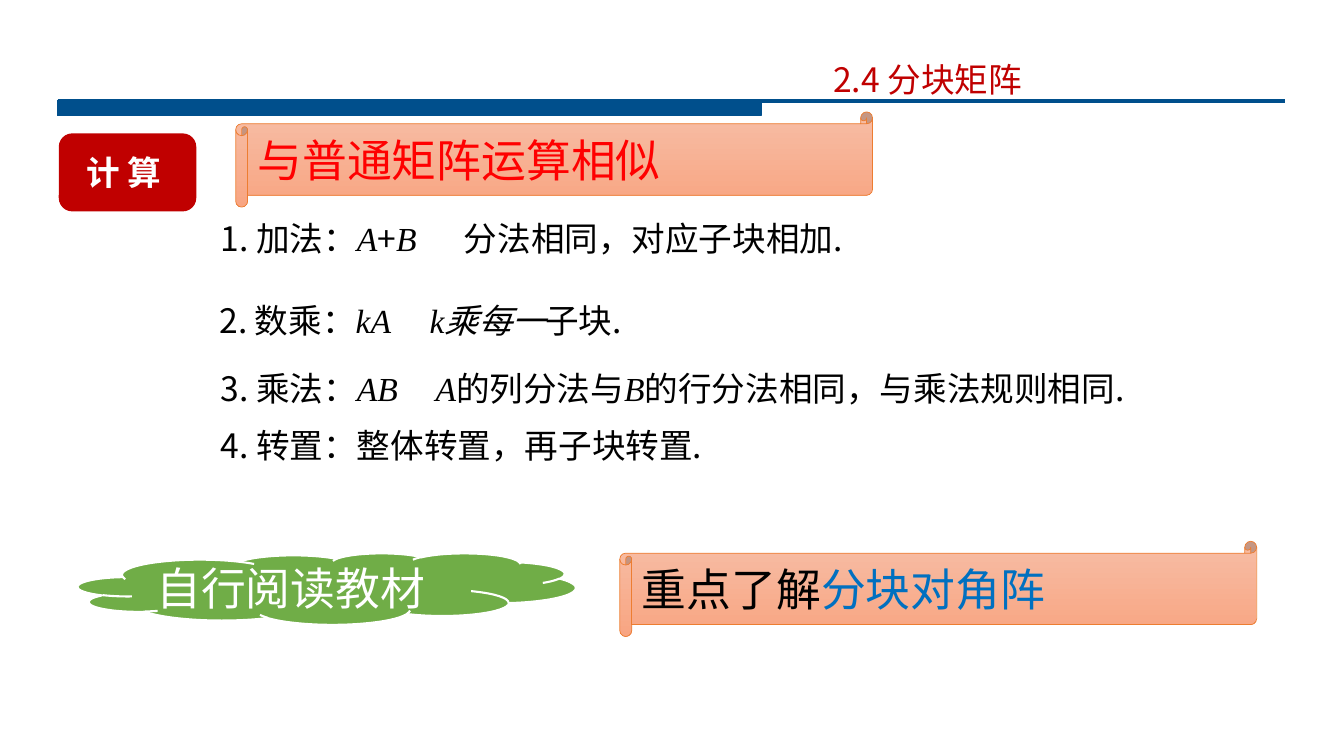
from lxml import etree
from pptx import Presentation
from pptx.dml.color import RGBColor
from pptx.enum.shapes import MSO_CONNECTOR, MSO_SHAPE
from pptx.enum.text import MSO_ANCHOR, PP_ALIGN
from pptx.oxml.ns import qn
from pptx.util import Cm, Pt

RECT, ROUND = MSO_SHAPE.RECTANGLE, MSO_SHAPE.ROUNDED_RECTANGLE
CLOUD, SCROLL = MSO_SHAPE.CLOUD, MSO_SHAPE.HORIZONTAL_SCROLL
STRAIGHT = MSO_CONNECTOR.STRAIGHT
LEFT, TOP, MIDDLE = PP_ALIGN.LEFT, MSO_ANCHOR.TOP, MSO_ANCHOR.MIDDLE

THEME = {
    "navy": "004F8C", "deep": "C00000", "red": "FF0000", "blue": "0070C0",
    "green": "70AD47", "orange": "ED7D31", "black": "000000",
    "white": "FFFFFF", "light": "F7BDA5", "dark": "F8A582",
    "body": 24, "large": 32,
    "sans": "Noto Sans CJK SC", "math": "Times New Roman", "head": "Calibri",
}

# Content: each run is (text, style)
TITLE = [("2.4 分块矩阵", "title")]
LABEL = [("计 算", "label")]
# Rules: left, top, width, tab stop, runs
RULES = [
    (5.31, 5.36, 18.36, 6.13, [
        ("1. 加法：", "plain"), ("A", "math"), ("+", "plain"), ("B", "math"),
        ("\t分法相同，对应子块相加.", "plain")]),
    (5.28, 7.44, 18.36, 5.3, [
        ("2. 数乘：", "plain"), ("kA\tk乘每一", "math"), ("子块.", "plain")]),
    (5.31, 9.14, 26.42, 5.42, [
        ("3. 乘法：", "plain"), ("AB\tA", "math"), ("的列分法与", "plain"),
        ("B", "math"), ("的行分法相同，与乘法规则相同.", "plain")]),
    (5.31, 10.59, 18.36, None, [("4. 转置：整体转置，再子块转置.", "plain")]),
]
READ = [("自行阅读教材", "white")]
# Scrolls: left, top, runs
SCROLLS = [
    (15.62, 13.64, [("重点了解", "black"), ("分块对角阵", "blue")]),
    (5.94, 2.82, [("与普通矩阵运算相似", "red")]),
]

# Style: font, size, colour, bold, italic
STYLES = {
    "title": ("sans", "body", "deep", False, False),
    "label": ("sans", "body", "white", True, False),
    "plain": ("sans", "body", "black", False, False),
    "math": ("math", "body", "black", False, True),
}
for hue in ("white", "black", "blue", "red"):
    STYLES[hue] = ("head", "large", hue, False, False)

deck = Presentation()
deck.slide_width, deck.slide_height = Cm(33.87), Cm(19.05)
slide = deck.slides.add_slide(deck.slide_layouts[6])


def color(name):
    return RGBColor.from_string(THEME[name])


def write(frame, runs, anchor=TOP, tab=None):
    frame.word_wrap = True
    frame.vertical_anchor = anchor
    para = frame.paragraphs[0]
    para.alignment = LEFT
    if tab:
        stops = etree.SubElement(para._p.get_or_add_pPr(), qn("a:tabLst"))
        etree.SubElement(stops, qn("a:tab"), pos=str(Cm(tab)), algn="l")
    for text, style in runs:
        face, size, hue, bold, slant = STYLES[style]
        run = para.add_run()
        run.text = text
        font = run.font
        font.name, font.size = THEME[face], Pt(THEME[size])
        font.bold, font.italic = bold, slant
        font.color.rgb = color(hue)
        asian = etree.SubElement(run._r.get_or_add_rPr(), qn("a:ea"))
        asian.set("typeface", THEME["sans"])


def add_text(left, top, width, runs, tab=None):
    box = slide.shapes.add_textbox(Cm(left), Cm(top), Cm(width), Cm(1.28))
    write(box.text_frame, runs, tab=tab)


def add_form(kind, box, fill, edge, weight):
    form = slide.shapes.add_shape(kind, *map(Cm, box))
    form.shadow.inherit = False
    if isinstance(fill, tuple):
        form.fill.gradient()
        form.fill.gradient_angle = 270
        for stop, hue in zip(form.fill.gradient_stops, fill):
            stop.color.rgb = color(hue)
    else:
        form.fill.solid()
        form.fill.fore_color.rgb = color(fill)
    form.line.color.rgb = color(edge)
    form.line.width = Pt(weight)
    return form


# Header rule and title
rule = slide.shapes.add_connector(
    STRAIGHT, Cm(1.45), Cm(2.54), Cm(32.39), Cm(2.54))
rule.line.color.rgb = color("navy")
rule.line.width = Pt(3)
etree.SubElement(rule._element.spPr, qn("a:effectLst"))
add_form(RECT, (1.45, 2.54, 17.73, 0.38), "navy", "navy", 1)
add_text(20.75, 1.37, 11.53, TITLE)

# Section label
add_form(ROUND, (1.5, 3.38, 3.43, 1.93), "deep", "deep", 1)
add_text(1.93, 3.71, 7.29, LABEL)

# Rules of block arithmetic
for left, top, width, tab, runs in RULES:
    add_text(left, top, width, runs, tab)

# Reading hint
cloud = add_form(CLOUD, (1.96, 13.94, 12.55, 1.8), "green", "white", 1.5)
write(cloud.text_frame, READ, MIDDLE)

# Scroll banners
for left, top, runs in SCROLLS:
    scroll = add_form(
        SCROLL, (left, top, 16.05, 2.4), ("light", "dark"), "orange", 0.5)
    write(scroll.text_frame, runs, MIDDLE)

deck.save("out.pptx")
